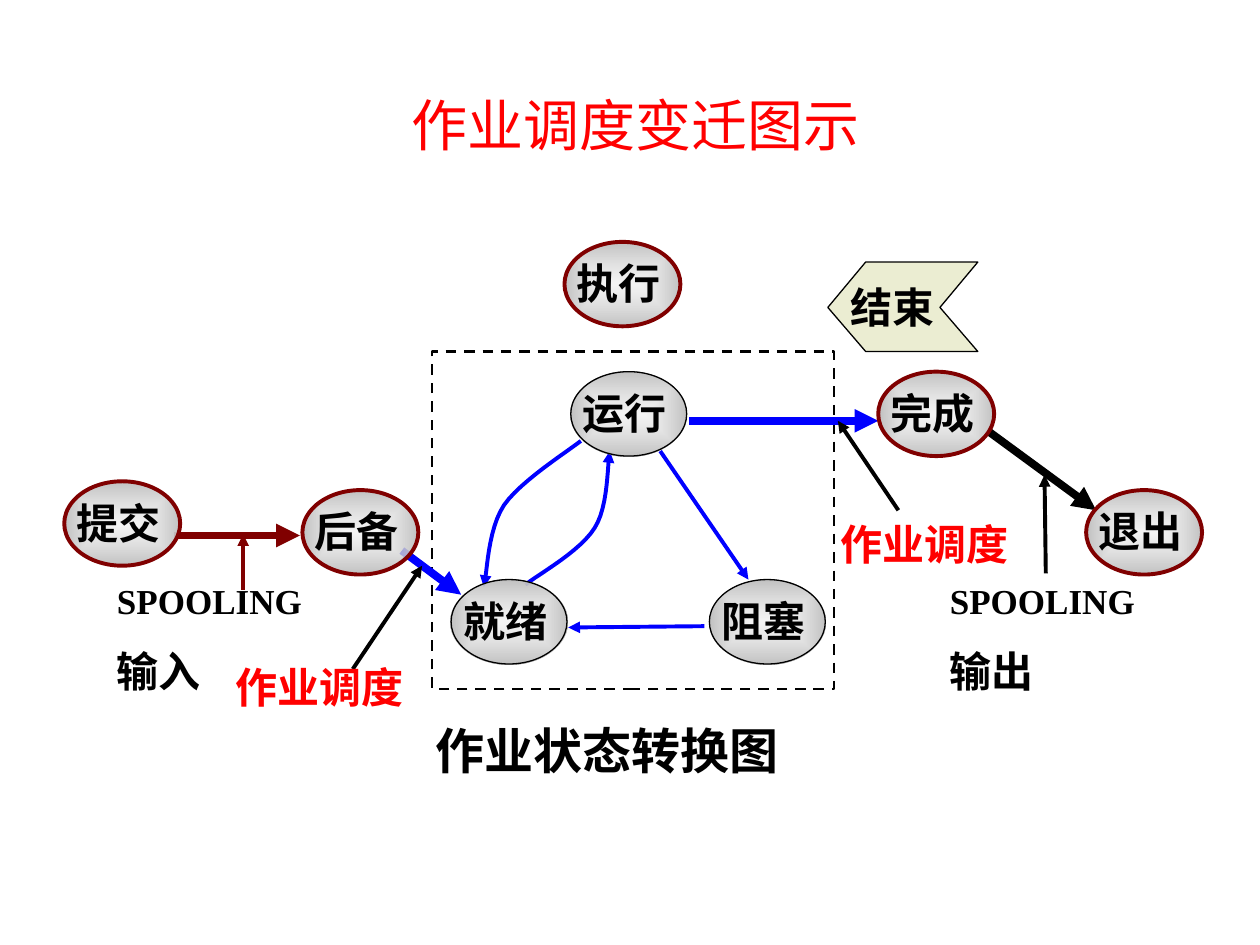
import pptx
import pptx.dml.color
import pptx.enum.dml
import pptx.enum.shapes
import pptx.enum.text
import pptx.oxml
import pptx.oxml.ns
import pptx.util
from pptx.util import Inches

COLORS = {"red": "FF0000", "maroon": "800000", "blue": "0000FF", "black": "000000",
          "chevron": "E1E4BA", "light": "EAEAEA", "gray": "C0C0C0"}
RGB = {name: pptx.dml.color.RGBColor.from_string(c) for name, c in COLORS.items()}
NS = 'xmlns:a="http://schemas.openxmlformats.org/drawingml/2006/main"'
GRADIENT = (f'<a:gradFill {NS} rotWithShape="1"><a:gsLst>'
            f'<a:gs pos="0"><a:srgbClr val="{COLORS["light"]}"><a:alpha val="50000"/></a:srgbClr></a:gs>'
            f'<a:gs pos="100000"><a:srgbClr val="{COLORS["gray"]}"/></a:gs></a:gsLst>'
            '<a:path path="rect"><a:fillToRect l="50000" t="50000" r="50000" b="50000"/></a:path>'
            '</a:gradFill>')
ALIGN = pptx.enum.text.PP_ALIGN
ANCHOR = pptx.enum.text.MSO_ANCHOR


def style_line(s, color, width, arrow=None):
    s.line.color.rgb = RGB[color]
    s.line.width = pptx.util.Pt(width)
    if arrow:
        end = pptx.oxml.parse_xml(f'<a:{arrow} {NS} type="triangle"/>')
        s.line._get_or_add_ln().append(end)


def write(s, lines, color="black", font="Times New Roman", align=ALIGN.JUSTIFY, spacing=None):
    tf = s.text_frame
    for i, (text, size) in enumerate(lines):
        p = tf.paragraphs[0] if i == 0 else tf.add_paragraph()
        p.text = text
        p.alignment = align
        p.line_spacing = spacing
        if i:
            p.space_before = pptx.util.Pt(15)
        p.font.name = font
        p.font.size = pptx.util.Pt(size)
        p.font.bold = True
        p.font.color.rgb = RGB[color]


prs = pptx.Presentation()
prs.slide_width, prs.slide_height = Inches(10), Inches(7.5)
slide = prs.slides.add_slide(prs.slide_layouts[5])
shapes = slide.shapes

title = shapes.title
title.left, title.top, title.width, title.height = (Inches(v) for v in (0.42, 0.65, 9.25, 0.67))
title.text_frame.vertical_anchor = ANCHOR.MIDDLE
write(title, [("作业调度变迁图示", 32)], "red", "Calibri", ALIGN.CENTER)
title.text_frame.paragraphs[0].font.bold = False

frame = shapes.add_shape(pptx.enum.shapes.MSO_SHAPE.RECTANGLE,
                         Inches(3.43), Inches(2.79), Inches(3.19), Inches(2.68))
frame.shadow.inherit = False
frame.fill.background()
style_line(frame, "black", 1.5)
frame.line.dash_style = pptx.enum.dml.MSO_LINE.DASH

arrows = [
    (1.38, 4.25, 2.38, 4.25, "maroon", 4.5),
    (3.19, 4.37, 3.66, 4.72, "blue", 4.5),
    (5.47, 3.34, 6.97, 3.34, "blue", 4.5),
    (7.84, 3.42, 8.7, 4.05, "black", 4.5),
    (1.93, 4.68, 1.93, 4.24, "maroon", 2.25),
    (2.8, 5.31, 3.35, 4.49, "black", 2.25),
    (7.13, 4.05, 6.65, 3.34, "black", 2.25),
    (8.3, 4.55, 8.29, 3.77, "black", 2.25),
    (5.59, 4.97, 4.51, 4.98, "blue", 2.25),
    (5.24, 3.58, 5.94, 4.6, "blue", 2.25),
]
for x1, y1, x2, y2, color, width in arrows:
    c = shapes.add_connector(pptx.enum.shapes.MSO_CONNECTOR.STRAIGHT,
                             Inches(x1), Inches(y1), Inches(x2), Inches(y2))
    style_line(c, color, width, "tailEnd")
    c._element.spPr.append(pptx.oxml.parse_xml(f"<a:effectLst {NS}/>"))

curves = [
    ([(4.61, 3.5), (4.51, 3.58), (4.13, 3.82), (4, 4.01),
      (3.87, 4.21), (3.87, 4.53), (3.84, 4.66)], "tailEnd"),
    ([(4.84, 3.58), (4.82, 3.68), (4.83, 4.02), (4.72, 4.19),
      (4.61, 4.37), (4.29, 4.55), (4.17, 4.64)], "headEnd"),
]
STEPS = 12
for knots, arrow in curves:
    points = []
    for k in (0, 3):
        for n in range(1, STEPS + 1):
            t = n / STEPS
            weights = ((1 - t) ** 3, 3 * t * (1 - t) ** 2, 3 * t ** 2 * (1 - t), t ** 3)
            points.append(tuple(Inches(sum(w * q[axis] for w, q in zip(weights, knots[k:k + 4])))
                                for axis in (0, 1)))
    builder = shapes.build_freeform(*(Inches(v) for v in knots[0]))
    builder.add_line_segments(points, close=False)
    s = builder.convert_to_shape()
    s.shadow.inherit = False
    s.fill.background()
    style_line(s, "blue", 2.25, arrow)

nodes = [
    ("提交", 0.51, 3.82, "maroon", 2.25),
    ("后备", 2.4, 3.89, "maroon", 2.25),
    ("退出", 8.62, 3.89, "maroon", 2.25),
    ("完成", 6.97, 2.95, "maroon", 2.25),
    ("执行", 4.48, 1.92, "maroon", 2.25),
    ("运行", 4.53, 2.95, "black", 0.75),
    ("就绪", 3.58, 4.6, "black", 0.75),
    ("阻塞", 5.63, 4.6, "black", 0.75),
]
for text, x, y, color, width in nodes:
    s = shapes.add_shape(pptx.enum.shapes.MSO_SHAPE.OVAL,
                         Inches(x), Inches(y), Inches(0.92), Inches(0.67))
    s.shadow.inherit = False
    s._element.spPr.insert(2, pptx.oxml.parse_xml(GRADIENT))
    style_line(s, color, width)
    tf = s.text_frame
    tf.margin_left = tf.margin_top = 0
    tf.margin_bottom = Inches(0.02)
    tf.margin_right = Inches(0.06)
    tf.word_wrap = False
    tf.vertical_anchor = ANCHOR.MIDDLE
    write(s, [(text, 24)], align=ALIGN.CENTER)

outline = [(6.57, 2.44), (6.87, 2.08), (7.76, 2.08), (7.46, 2.44), (7.76, 2.79), (6.87, 2.79)]
corners = [(Inches(x), Inches(y)) for x, y in outline]
builder = shapes.build_freeform(*corners[0])
builder.add_line_segments(corners[1:])
chevron = builder.convert_to_shape()
chevron.shadow.inherit = False
chevron.fill.solid()
chevron.fill.fore_color.rgb = RGB["chevron"]
fill_color = next(chevron._element.spPr.iter(pptx.oxml.ns.qn("a:srgbClr")))
fill_color.append(pptx.oxml.parse_xml(f'<a:alpha {NS} val="65000"/>'))
style_line(chevron, "black", 0.75)
tf = chevron.text_frame
tf.margin_left, tf.margin_right = 0, Inches(0.16)
tf.vertical_anchor = ANCHOR.MIDDLE
write(chevron, [("结束", 24)], font="Arial", align=ALIGN.CENTER)

labels = [
    ([("SPOOLING", 20), ("输入", 24)], 0.83, 4.57, 1.89, 0.9, "black"),
    ([("SPOOLING", 20), ("输出", 24)], 7.44, 4.57, 1.89, 0.82, "black"),
    ([("作业调度", 24)], 1.77, 5.23, 1.81, 0.55, "red"),
    ([("作业调度", 24)], 6.57, 4.09, 1.57, 0.41, "red"),
    ([("作业状态转换图", 28)], 3.36, 5.7, 4.08, 0.48, "black"),
]
for lines, x, y, w, h, color in labels:
    s = shapes.add_textbox(Inches(x), Inches(y), Inches(w), Inches(h))
    s.text_frame.word_wrap = True
    write(s, lines, color, spacing=0.96)

prs.save("out.pptx")
